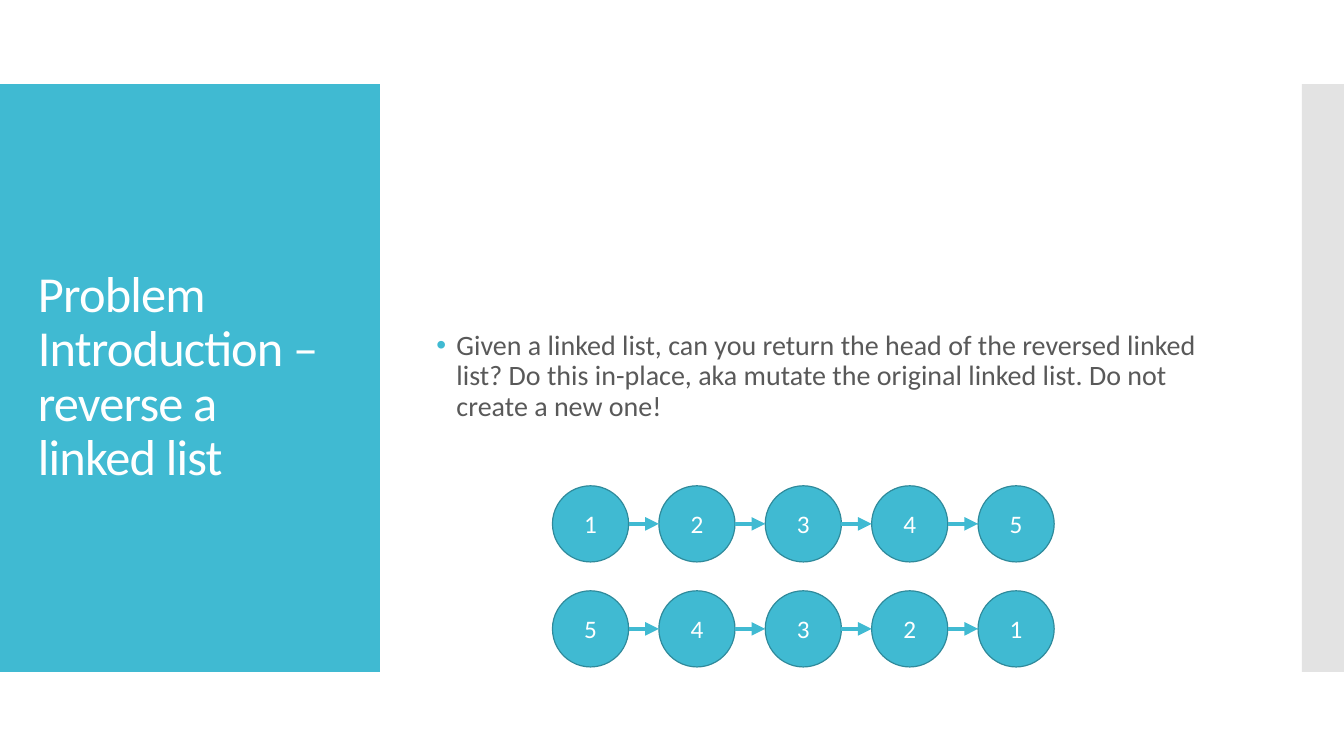
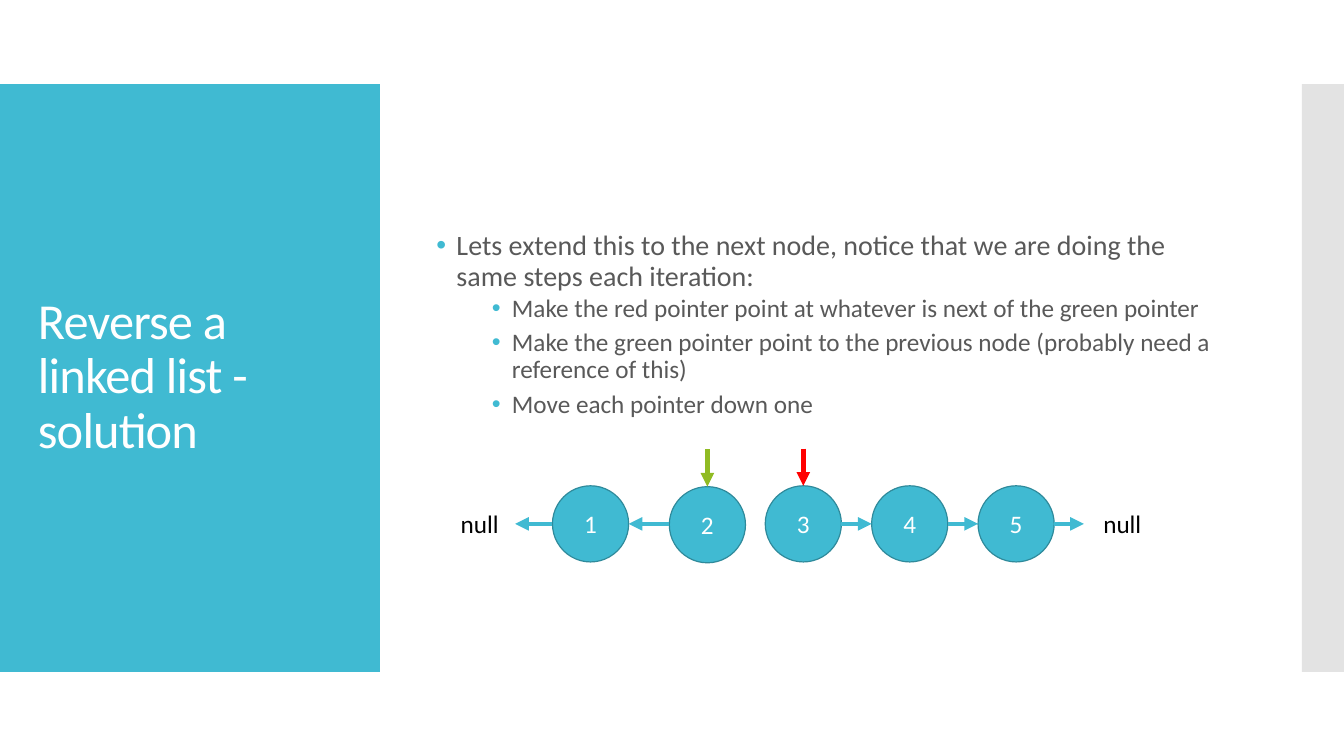
import dataclasses

import lxml.etree
import pptx
import pptx.dml.color
import pptx.enum.shapes
import pptx.enum.text
import pptx.oxml.ns
import pptx.util

Pt = pptx.util.Pt
qn = pptx.oxml.ns.qn
SHAPES = pptx.enum.shapes.MSO_SHAPE
ANCHOR = pptx.enum.text.MSO_ANCHOR
CENTER = pptx.enum.text.PP_ALIGN.CENTER


@dataclasses.dataclass(frozen=True)
class Theme:
    font: str = "Calibri"
    title_size: int = 36
    body_size: int = 20
    small_size: int = 18
    accent: str = "40BAD2"
    outline: str = "2F8A9B"
    side_band: str = "C8C8C8"
    body: str = "595959"
    white: str = "FFFFFF"
    black: str = "000000"
    red: str = "FF0000"
    green: str = "90BB23"


# Geometry of the node rows, in points
NODE_SIZE = 54.4
NODE_LEFT = 394.6
NODE_STEP = 76
FIRST_ROW = 347
SECOND_ROW = 422
POINTER_LENGTH = 26.6


def rgb(color):
    return pptx.dml.color.RGBColor.from_string(color)


class Deck:
    def __init__(self, theme):
        self.theme = theme
        self.presentation = pptx.Presentation()
        self.presentation.slide_width = Pt(960)
        self.presentation.slide_height = Pt(540)
        self.slide = None

    # Slide frame: side bands and title
    def add_slide(self, title):
        theme = self.theme
        self.slide = self.presentation.slides.add_slide(self.presentation.slide_layouts[6])
        self.shape(SHAPES.RECTANGLE, 0, 60, 271.4, 420, theme.accent)
        band = self.shape(SHAPES.RECTANGLE, 930, 60, 30, 420, theme.side_band)
        color = band.fill._xPr.find(".//" + qn("a:srgbClr"))
        lxml.etree.SubElement(color, qn("a:alpha"), val="50000")
        paragraph = self.text(title, 20, 88.6, 232, 362, theme.title_size, theme.white)
        paragraph.line_spacing = 0.9
        paragraph.runs[0].font._element.set("spc", "-60")

    def shape(self, kind, left, top, width, height, fill, outline=None):
        shape = self.slide.shapes.add_shape(kind, Pt(left), Pt(top), Pt(width), Pt(height))
        shape.shadow.inherit = False
        shape.fill.solid()
        shape.fill.fore_color.rgb = rgb(fill)
        if outline:
            shape.line.color.rgb = rgb(outline)
            shape.line.width = Pt(0.85)
        else:
            shape.line.fill.background()
        return shape

    def format(self, paragraph, size, color):
        for run in paragraph.runs:
            run.font.name = self.theme.font
            run.font.size = Pt(size)
            run.font.color.rgb = rgb(color)

    def text_frame(self, left, top, width, height):
        box = self.slide.shapes.add_textbox(Pt(left), Pt(top), Pt(width), Pt(height))
        frame = box.text_frame
        frame.word_wrap = True
        frame.vertical_anchor = ANCHOR.MIDDLE
        return frame

    def text(self, text, left, top, width, height, size, color):
        frame = self.text_frame(left, top, width, height)
        frame.text = text
        self.format(frame.paragraphs[0], size, color)
        return frame.paragraphs[0]

    # Bulleted body: one lead sentence, then optional steps
    def body(self, lead, steps=(), height=403):
        theme = self.theme
        frame = self.text_frame(304.6, 67.7, 576, height)
        frame.text = "\n".join([lead, *steps])
        for index, paragraph in enumerate(frame.paragraphs):
            is_step = index > 0
            paragraph.level = int(is_step)
            paragraph.line_spacing = 0.9
            paragraph.space_before = Pt(2.5 if is_step else 12)
            paragraph.space_after = Pt(2.5 if is_step else 0)
            self.format(paragraph, theme.small_size if is_step else theme.body_size, theme.body)
            self.bullet(paragraph, 54 if is_step else 14.4)

    def bullet(self, paragraph, margin):
        properties = paragraph._p.get_or_add_pPr()
        properties.set("marL", str(Pt(margin)))
        properties.set("indent", str(Pt(-14.4)))
        color = lxml.etree.SubElement(properties, qn("a:buClr"))
        lxml.etree.SubElement(color, qn("a:srgbClr"), val=self.theme.accent)
        lxml.etree.SubElement(properties, qn("a:buFont"), typeface="Arial")
        lxml.etree.SubElement(properties, qn("a:buChar"), char="•")

    def node(self, label, left, top):
        theme = self.theme
        node = self.shape(SHAPES.OVAL, left, top, NODE_SIZE, NODE_SIZE, theme.accent, theme.outline)
        frame = node.text_frame
        frame.text = str(label)
        frame.vertical_anchor = ANCHOR.MIDDLE
        frame.paragraphs[0].alignment = CENTER
        self.format(frame.paragraphs[0], theme.small_size, theme.white)
        return node

    def arrow(self, start, end, color=None):
        connector = self.slide.shapes.add_connector(
            pptx.enum.shapes.MSO_CONNECTOR.STRAIGHT, *(Pt(value) for value in (*start, *end)))
        connector.line.color.rgb = rgb(color or self.theme.accent)
        connector.line.width = Pt(3.25)
        lxml.etree.SubElement(connector.line._get_or_add_ln(), qn("a:tailEnd"), type="triangle")
        lxml.etree.SubElement(connector._element.spPr, qn("a:effectLst"))
        return connector

    # Arrow that comes down on the top of a node
    def pointer(self, node, color):
        center = node.left.pt + NODE_SIZE / 2
        top = node.top.pt
        arrow = self.arrow((center, top - POINTER_LENGTH), (center, top), color)
        arrow.end_connect(node, 0)

    def null(self, left):
        self.text("null", left, 359.3, 70.5, 29, self.theme.small_size, self.theme.black)


def node_left(index):
    return NODE_LEFT + index * NODE_STEP


def add_problem(deck):
    deck.add_slide("Problem Introduction – reverse a linked list")
    deck.body("Given a linked list, can you return the head of the reversed linked list? "
              "Do this in-place, aka mutate the original linked list. Do not create a new one!")
    for labels, top in (((1, 2, 3, 4, 5), FIRST_ROW), ((5, 4, 3, 2, 1), SECOND_ROW)):
        middle = top + NODE_SIZE / 2
        for index, label in enumerate(labels):
            deck.node(label, node_left(index), top)
            if index:
                deck.arrow((node_left(index - 1) + NODE_SIZE, middle), (node_left(index), middle))


def add_solution(deck):
    deck.add_slide("Reverse a linked list - solution")
    deck.body("Lets extend this to the next node, notice that we are doing the same steps "
              "each iteration:",
              ["Make the red pointer point at whatever is next of the green pointer",
               "Make the green pointer point to the previous node (probably need a reference of this)",
               "Move each pointer down one"],
              height=329)

    # The second node stands a little apart from the regular row
    lefts = [node_left(index) for index in range(5)]
    lefts[1] += 7.5
    nodes = [deck.node(index + 1, left, FIRST_ROW + (0.6 if index == 1 else 0))
             for index, left in enumerate(lefts)]
    rights = [left + NODE_SIZE for left in lefts]

    # Reversed links run left, the remaining links run right
    middle = FIRST_ROW + NODE_SIZE / 2
    links = ((lefts[0], 368), (lefts[1], rights[0]),
             (rights[2], lefts[3]), (rights[3], lefts[4]), (rights[4], 774.2))
    for start, end in links:
        deck.arrow((start, middle), (end, middle))
    deck.null(322)
    deck.null(781)
    deck.pointer(nodes[2], deck.theme.red)
    deck.pointer(nodes[1], deck.theme.green)


def main():
    deck = Deck(Theme())
    add_problem(deck)
    add_solution(deck)
    deck.presentation.save("out.pptx")


if __name__ == "__main__":
    main()
